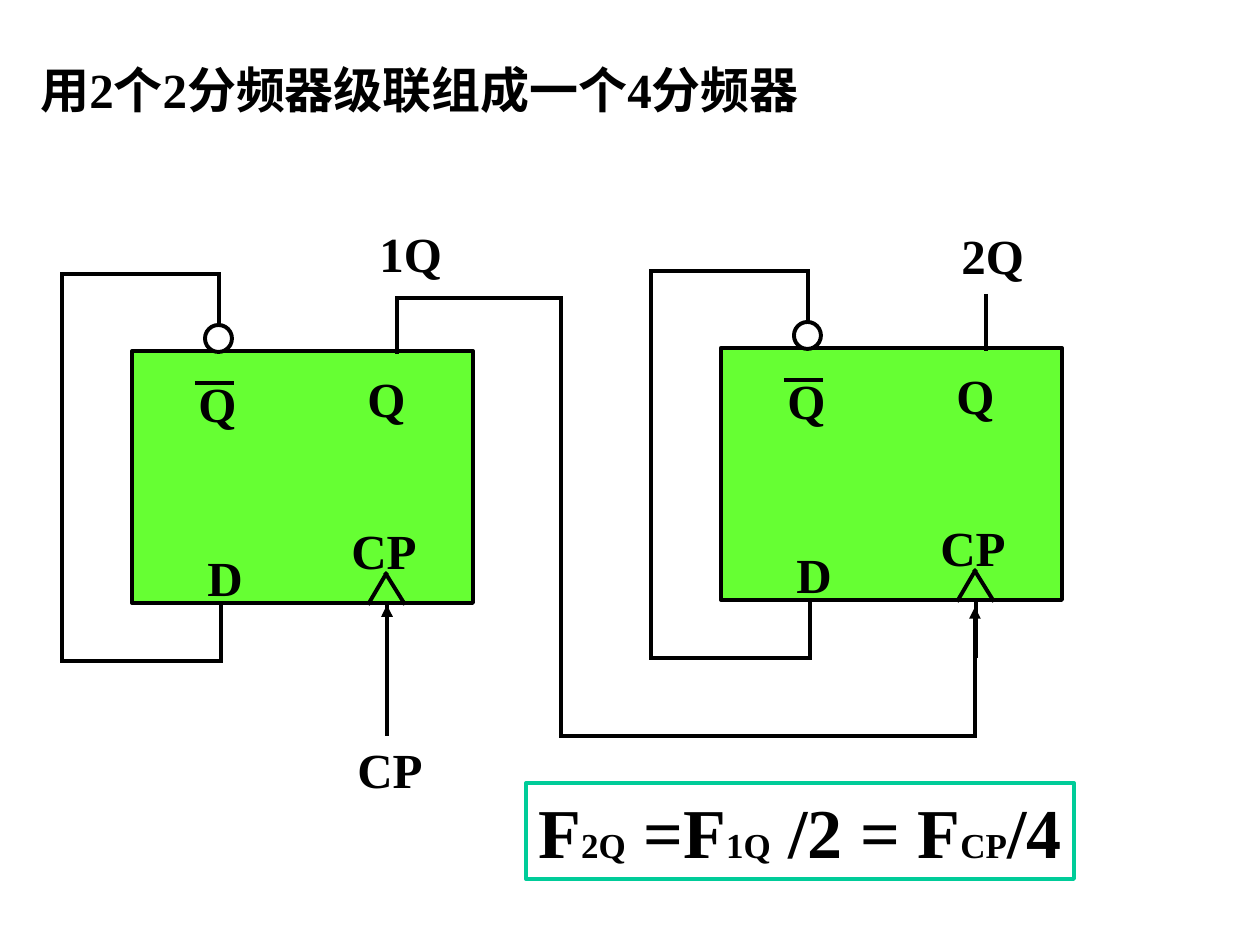
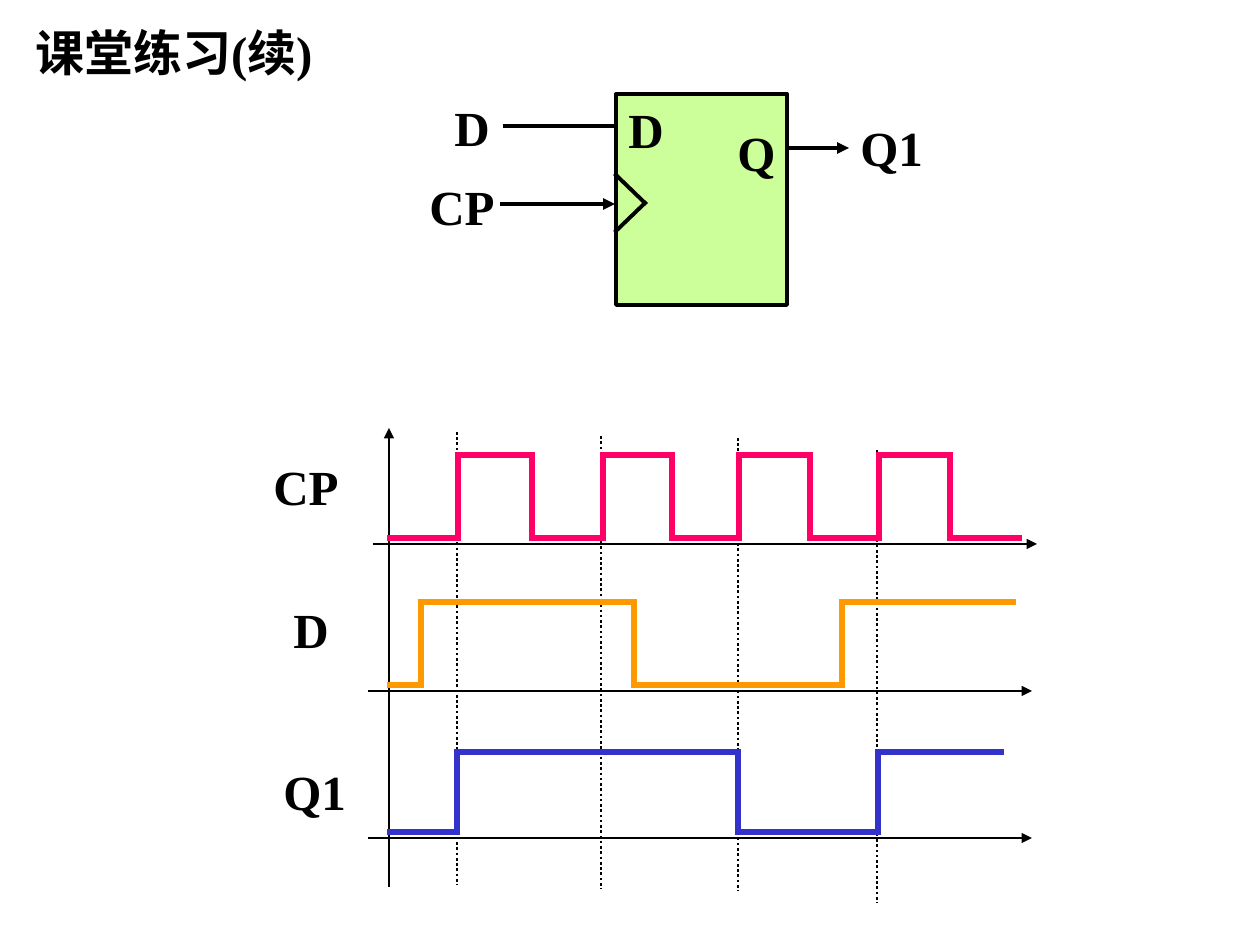
from itertools import pairwise

from lxml import etree
from pptx import Presentation
from pptx import util as u
from pptx.dml.color import RGBColor
from pptx.enum import dml, shapes, text
from pptx.oxml.ns import qn

BLACK = RGBColor(0x00, 0x00, 0x00)
WHITE = RGBColor(0xFF, 0xFF, 0xFF)
GREEN = RGBColor(0x66, 0xFF, 0x33)
LIME = RGBColor(0xCC, 0xFF, 0x99)
TEAL = RGBColor(0x00, 0xCC, 0x99)
PINK = RGBColor(0xFF, 0x00, 0x66)
ORANGE = RGBColor(0xFF, 0x99, 0x00)
BLUE = RGBColor(0x33, 0x33, 0xCC)
FONT = "Times New Roman"
SCALE = 914400 / 126
THICK, THIN, BOLD = 2.25, 1.5, 3
ROW = 72  # height of a one-line label

# Divider slide. Labels are (text, left, top, width).
TITLE1 = ("用2个2分频器级联组成一个4分频器", 28, 53, 900)
FLIPS = [(132, 351), (721, 348)]
FLIP_SIZE = (341, 252)
# Parts of a flip-flop, measured from its top left corner
FLIP_WIRES = [
    [(87, -26), (87, -77), (-70, -77), (-70, 310), (89, 310), (89, 252)],
    [(265, -54), (265, 3)],
    [(255, 253), (255, 310)],
    [(237, 252), (254, 223), (272, 252)],
    [(63, 32), (102, 32)],
]
FLIP_LABELS = [("D", 63, 190, 78), ("CP", 207, 163, 111),
               ("Q", 223, 11, 82), ("Q", 54, 16, 68)]
BUBBLE = (73, -26, 27, 27)
LINKS = [
    [(397, 298), (561, 298), (561, 736), (975, 736), (975, 607)],
    [(387, 736), (387, 605)],
]
PINS = [("CP", 345, 733, 92), ("1Q", 367, 217, 90), ("2Q", 949, 219, 90)]
FORMULA = [("F", 40), ("2Q", 20), (" =F", 40), ("1Q", 20),
           (" /2 = F", 40), ("CP", 20), ("/4", 40)]
FORMULA_BOX = (526, 783, 548, 96)

# Exercise slide
TITLE2 = ("课堂练习(续)", 23, 16, 380)
CHIP = (616, 94, 171, 211)
CHIP_WIRES = [
    ([(503, 126), (616, 126)], False),
    ([(500, 204), (615, 204)], True),
    ([(616, 175), (645, 203), (616, 231)], False),
    ([(787, 148), (849, 148)], True),
]
LABELS = [("D", 616, 93, 62), ("Q", 725, 116, 66), ("D", 442, 91, 72),
          ("CP", 417, 170, 92), ("Q1", 848, 111, 100),
          ("CP", 261, 450, 95), ("D", 281, 593, 84), ("Q1", 271, 755, 95)]
GUIDES = [(457, 432), (601, 436), (738, 438), (877, 450)]
GUIDE_LEN = 453
AXES = [
    [(373, 544), (1037, 544)],
    [(368, 691), (1032, 691)],
    [(368, 838), (1032, 838)],
    [(389, 887), (389, 428)],
]
START = 390
# colour, low level, high level, edges, end
WAVES = [
    (PINK, 538, 455, [458, 532, 603, 672, 739, 810, 879, 950], 1019),
    (ORANGE, 685, 602, [421, 634, 842], 1013),
    (BLUE, 832, 752, [457, 738, 878], 1001),
]


def px(*nums):
    return [u.Emu(round(n * SCALE)) for n in nums]


def write(frame, runs, align=text.PP_ALIGN.LEFT, wrap=True):
    """Fill a text frame with (text, size) runs."""
    frame.word_wrap = wrap
    frame.vertical_anchor = text.MSO_ANCHOR.MIDDLE
    para = frame.paragraphs[0]
    para.alignment = align
    for words, size in runs:
        run = para.add_run()
        run.text = words
        run.font.size = u.Pt(size)
        run.font.name = FONT
        run.font.bold = True
        run.font.color.rgb = BLACK


def label(slide, words, x, y, w):
    box = slide.shapes.add_textbox(*px(x, y, w, ROW))
    write(box.text_frame, [(words, 28)])


def block(slide, box, fill=None, line=BLACK, kind=shapes.MSO_SHAPE.RECTANGLE):
    shape = slide.shapes.add_shape(kind, *px(*box))
    shape.shadow.inherit = False
    if fill is None:
        shape.fill.background()
    else:
        shape.fill.solid()
        shape.fill.fore_color.rgb = fill
    shape.line.color.rgb = line
    shape.line.width = u.Pt(THICK)
    return shape


def wire(slide, points, color=BLACK, width=THICK, arrow=False, dots=False):
    """Join the points with straight lines; an arrow sits on the last."""
    for start, end in pairwise(points):
        line = slide.shapes.add_connector(
            shapes.MSO_CONNECTOR.STRAIGHT, *px(*start, *end))
        line.line.color.rgb = color
        line.line.width = u.Pt(width)
        props = line._element.spPr
        etree.SubElement(props, qn("a:effectLst"))
        ln = props.find(qn("a:ln"))
        if dots:
            line.line.dash_style = dml.MSO_LINE.ROUND_DOT
        elif len(points) > 2:
            ln.set("cap", "sq")
        if arrow and end == points[-1]:
            etree.SubElement(ln, qn("a:tailEnd"), type="triangle")


def flip(slide, left, top):
    """Draw one divide-by-two flip-flop."""
    block(slide, (left, top, *FLIP_SIZE), GREEN)
    for points in FLIP_WIRES:
        wire(slide, [(left + x, top + y) for x, y in points])
    for words, x, y, w in FLIP_LABELS:
        label(slide, words, left + x, top + y, w)
    x, y, w, h = BUBBLE
    block(slide, (left + x, top + y, w, h), WHITE, kind=shapes.MSO_SHAPE.OVAL)


def wave(slide, color, low, high, edges, end):
    """Draw a signal that starts low and toggles at each edge."""
    points, level = [(START, low)], low
    for x in edges:
        points.append((x, level))
        level = low + high - level
        points.append((x, level))
    wire(slide, points + [(end, level)], color, BOLD)


def divider(slide):
    label(slide, *TITLE1)
    for spot in FLIPS:
        flip(slide, *spot)
    for points in LINKS:
        wire(slide, points, arrow=True)
    for pin in PINS:
        label(slide, *pin)
    box = block(slide, FORMULA_BOX, line=TEAL)
    write(box.text_frame, FORMULA, align=text.PP_ALIGN.CENTER, wrap=False)


def timing(slide):
    block(slide, CHIP, LIME)
    for points, arrow in CHIP_WIRES:
        wire(slide, points, arrow=arrow)
    for item in [TITLE2, *LABELS]:
        label(slide, *item)
    for x, top in GUIDES:
        wire(slide, [(x, top), (x, top + GUIDE_LEN)], width=THIN, dots=True)
    for points in AXES:
        wire(slide, points, width=THIN, arrow=True)
    for item in WAVES:
        wave(slide, *item)


def main():
    deck = Presentation()
    deck.slide_width, deck.slide_height = px(1260, 945)
    for draw in (divider, timing):
        draw(deck.slides.add_slide(deck.slide_layouts[6]))
    deck.save("out.pptx")


if __name__ == "__main__":
    main()
